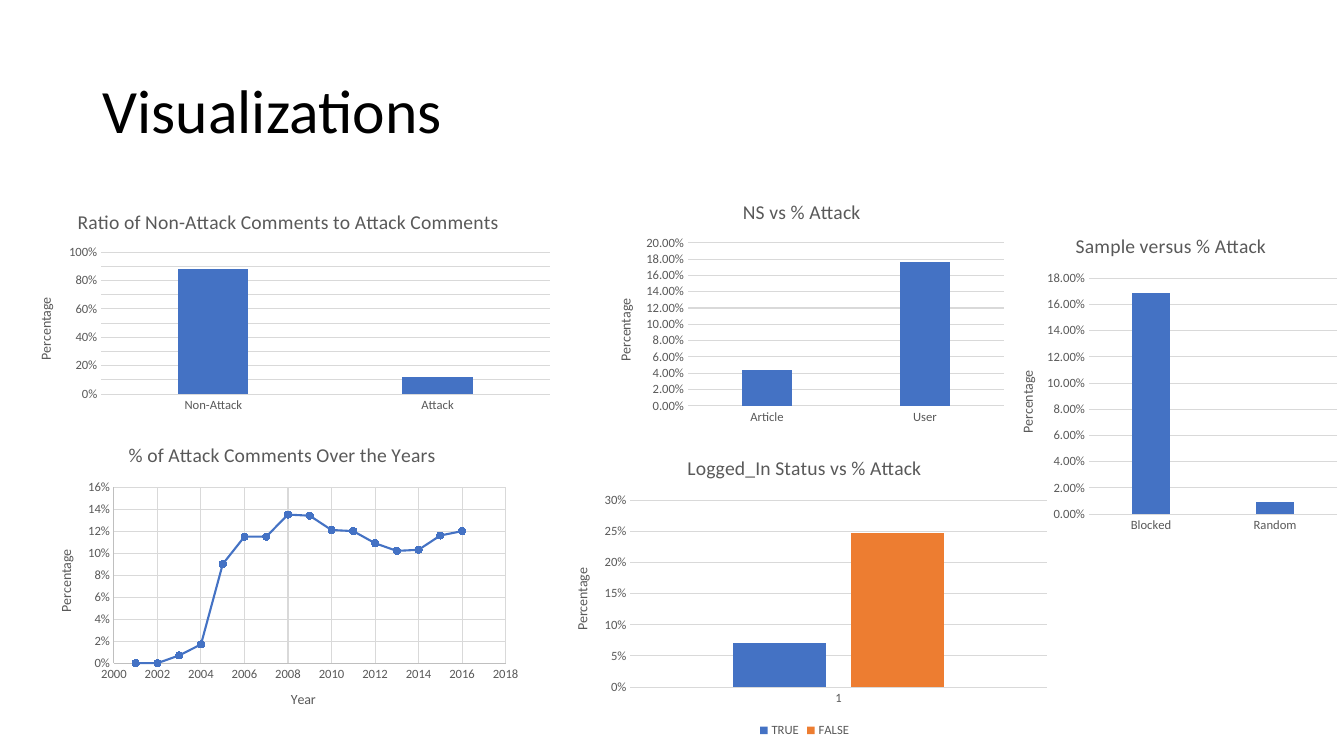
import pptx
import pptx.chart.data
import pptx.dml.color
import pptx.enum.chart
import pptx.enum.text
import pptx.util
from pptx.util import Inches

FONT = "Calibri"
COLORS = {"title": "000000", "label": "595959", "grid": "D9D9D9", "axis": "BFBFBF",
          "blue": "4472C4", "orange": "ED7D31"}
XL = pptx.enum.chart


def rgb(name):
    """Return the named palette colour."""
    return pptx.dml.color.RGBColor.from_string(COLORS[name])


def style_font(font, size, color="label"):
    """Set font family, size and colour without bold."""
    font.name, font.size, font.bold = FONT, pptx.util.Pt(size), False
    font.color.rgb = rgb(color)


def put_text(tf, text, size=10, color="label", align=None, spacing=None):
    """Write one formatted paragraph into a text frame."""
    tf.text = text
    p = tf.paragraphs[0]
    p.alignment, p.line_spacing = align, spacing
    style_font(p.runs[0].font, size, color)


def style_line(line, color, width=0.75):
    """Give a line a colour and a width in points."""
    line.color.rgb = rgb(color)
    line.width = pptx.util.Pt(width)


def style_axis(axis, title=None, line=None, grid=False, fmt=None, scale=None):
    """Format an axis; scale is (minimum, maximum, major unit)."""
    axis.major_tick_mark = axis.minor_tick_mark = XL.XL_TICK_MARK.NONE
    style_font(axis.tick_labels.font, 9)
    if title:
        put_text(axis.axis_title.text_frame, title)
    if line:
        style_line(axis.format.line, line)
    else:
        axis.format.line.fill.background()
    axis.has_major_gridlines = grid
    if grid:
        style_line(axis.major_gridlines.format.line, "grid")
    if fmt:
        axis.tick_labels.number_format = fmt
        axis.tick_labels.number_format_is_linked = False
    if scale:
        axis.minimum_scale, axis.maximum_scale, axis.major_unit = scale


def add_chart(slide, kind, box, title, data):
    """Add a titled chart at box (left, top, width, height)."""
    chart = slide.shapes.add_chart(kind, *map(Inches, box), data).chart
    style_font(chart.font, 10, "title")
    chart.has_legend = False
    chart.has_title = True
    put_text(chart.chart_title.text_frame, title, size=14)
    chart.chart_title.include_in_layout = False
    chart.plots[0].vary_by_categories = False
    return chart


def add_columns(slide, box, title, cats, series, fmt, top, step):
    """Add a clustered column chart; more than one series brings a legend."""
    data = pptx.chart.data.CategoryChartData(number_format=fmt)
    data.categories = cats
    for name, vals in series.items():
        data.add_series(name, vals)
    chart = add_chart(slide, XL.XL_CHART_TYPE.COLUMN_CLUSTERED, box, title, data)
    plot = chart.plots[0]
    plot.gap_width, plot.overlap = 219, -27
    for s, color in zip(plot.series, ("blue", "orange")):
        s.format.fill.solid()
        s.format.fill.fore_color.rgb = rgb(color)
    style_axis(chart.category_axis, line="grid")
    style_axis(chart.value_axis, "Percentage", grid=True, fmt=fmt, scale=(0, top, step))
    if len(series) > 1:
        chart.has_legend = True
        chart.legend.position = XL.XL_LEGEND_POSITION.BOTTOM
        chart.legend.include_in_layout = False
        style_font(chart.legend.font, 9)


def add_year_line(slide, box, title, first_year, vals):
    """Add a marked scatter line with one value per year."""
    data = pptx.chart.data.XyChartData()
    points = data.add_series("Series 1")
    for year, val in enumerate(vals, first_year):
        points.add_data_point(year, val)
    chart = add_chart(slide, XL.XL_CHART_TYPE.XY_SCATTER_LINES, box, title, data)
    s = chart.plots[0].series[0]
    s.smooth = False
    style_line(s.format.line, "blue", 1.5)
    s.marker.style, s.marker.size = XL.XL_MARKER_STYLE.CIRCLE, 5
    s.marker.format.fill.solid()
    s.marker.format.fill.fore_color.rgb = rgb("blue")
    style_line(s.marker.format.line, "blue")
    style_axis(chart.category_axis, "Year", "axis", True, "General", (2000, 2018, 2))
    style_axis(chart.value_axis, "Percentage", "axis", True, "0%", (0, 0.16, 0.02))


def add_title(slide, text):
    """Place and fill the slide title."""
    sp = slide.shapes.title
    sp.left, sp.top, sp.width, sp.height = map(Inches, (0.92, 0.4, 11.5, 1.45))
    sp.text_frame.vertical_anchor = pptx.enum.text.MSO_ANCHOR.MIDDLE
    put_text(sp.text_frame, text, size=44, color="title",
             align=pptx.enum.text.PP_ALIGN.LEFT, spacing=0.9)


def main():
    """Build the slide and save it."""
    prs = pptx.Presentation()
    prs.slide_width, prs.slide_height = Inches(13.33), Inches(7.5)
    slide = prs.slides.add_slide(prs.slide_layouts.get_by_name("Title Only"))
    add_title(slide, "Visualizations")
    add_columns(slide, (0.16, 1.93, 5.4, 2.21),
                "Ratio of Non-Attack Comments to Attack Comments",
                ["Non-Attack", "Attack"], {"Series 1": [0.88, 0.12]}, "0%", 1, 0.1)
    add_year_line(slide, (0.36, 4.23, 4.88, 3), "% of Attack Comments Over the Years", 2001,
                  [0, 0, 0.007, 0.017, 0.09, 0.115, 0.115, 0.135,
                   0.134, 0.121, 0.12, 0.109, 0.102, 0.103, 0.116, 0.12])
    add_columns(slide, (5.91, 1.83, 4.13, 2.43), "NS vs % Attack ",
                ["Article", "User"], {"Series 1": [0.044, 0.176]}, "0.00%", 0.2, 0.02)
    add_columns(slide, (5.48, 4.36, 5, 3), "Logged_In Status vs % Attack",
                ["1"], {"TRUE": [0.07], "FALSE": [0.247]}, "0%", 0.3, 0.05)
    add_columns(slide, (9.9, 2.15, 3.43, 3.2), "Sample versus % Attack",
                ["Blocked", "Random"], {"Series 1": [0.169, 0.009]}, "0.00%", 0.18, 0.02)
    prs.save("out.pptx")


main()
